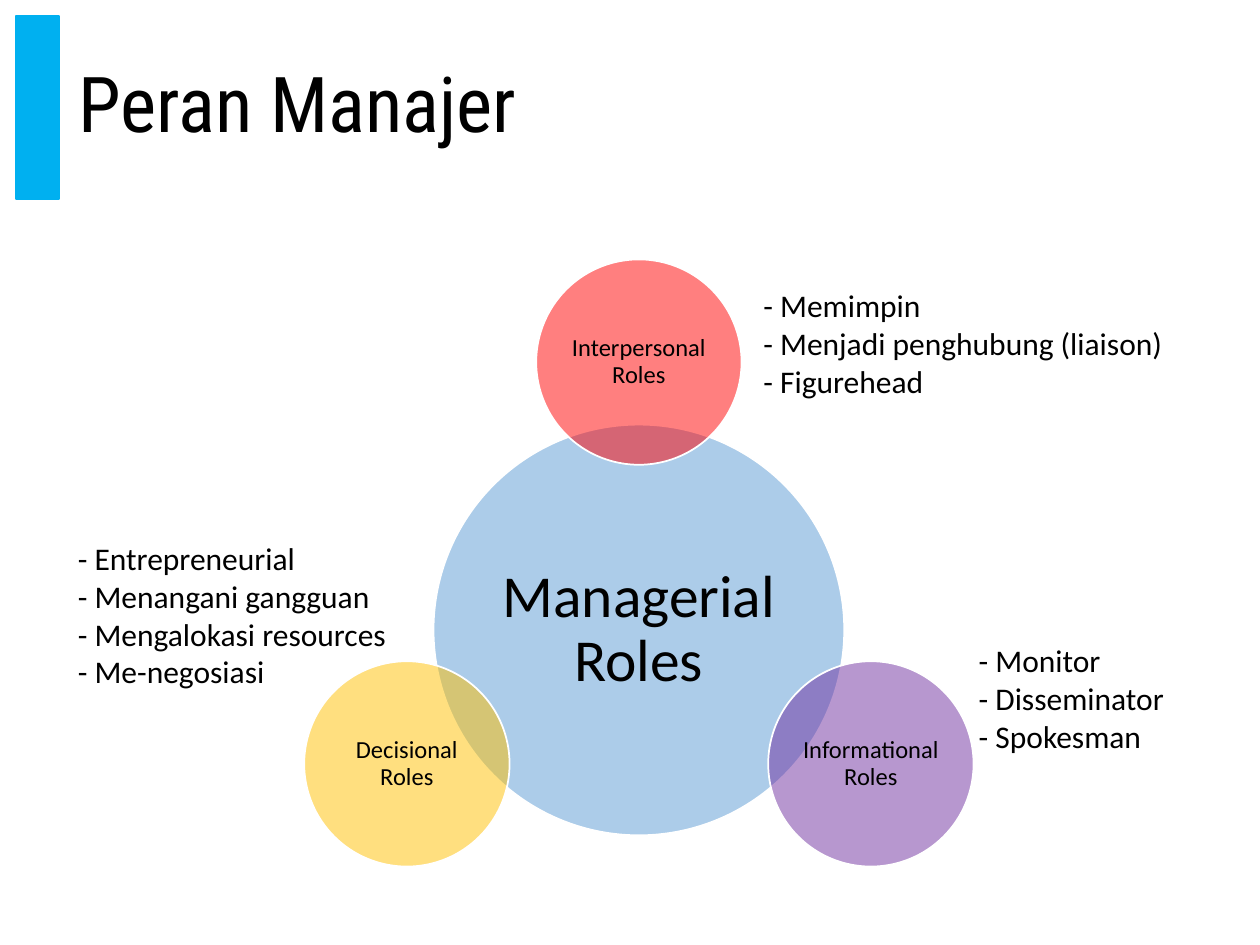
import math
from dataclasses import dataclass

import lxml.etree
import pptx
import pptx.dml.color
import pptx.enum.shapes
import pptx.enum.text
import pptx.oxml.ns
import pptx.util

Cm = pptx.util.Cm
Pt = pptx.util.Pt
RGBColor = pptx.dml.color.RGBColor

BLACK = RGBColor(0x00, 0x00, 0x00)
WHITE = RGBColor(0xFF, 0xFF, 0xFF)
ACCENT = RGBColor(0x00, 0xB0, 0xF0)
BLUE = RGBColor(0x5B, 0x9B, 0xD5)
RED = RGBColor(0xFF, 0x00, 0x00)
PURPLE = RGBColor(0x70, 0x30, 0xA0)
GOLD = RGBColor(0xFF, 0xC0, 0x00)

HUB_X, HUB_Y = 12.88, 12.7
HUB_DIAMETER = 8.28
ROLE_DIAMETER = 4.14
ORBIT = 5.4


@dataclass
class Role:
    label: str
    color: RGBColor
    angle: float
    duties: tuple[str, ...]
    duties_box: tuple[float, float, float, float]


ROLES = (
    Role("Interpersonal Roles", RED, -90,
         ("Memimpin", "Menjadi penghubung (liaison)", "Figurehead"),
         (15.14, 5.64, 8.66, 2.57)),
    Role("Informational Roles", PURPLE, 30,
         ("Monitor", "Disseminator", "Spokesman"),
         (19.48, 12.8, 4.29, 2.57)),
    Role("Decisional Roles", GOLD, 150,
         ("Entrepreneurial", "Menangani gangguan", "Mengalokasi resources", "Me-negosiasi"),
         (1.32, 10.74, 6.78, 3.33)),
)


def add_run(paragraph, text: str, size: float, font: str = "Calibri") -> None:
    run = paragraph.add_run()
    run.text = text
    run.font.size = Pt(size)
    run.font.name = font
    run.font.color.rgb = BLACK


def add_circle(slide, x: float, y: float, diameter: float, color: RGBColor,
               label: str, size: float, inset: float) -> None:
    circle = slide.shapes.add_shape(
        pptx.enum.shapes.MSO_SHAPE.OVAL,
        Cm(x - diameter / 2), Cm(y - diameter / 2), Cm(diameter), Cm(diameter))
    circle.shadow.inherit = False
    circle.fill.solid()
    circle.fill.fore_color.rgb = color
    tint = circle.fill._xPr.find(".//" + pptx.oxml.ns.qn("a:srgbClr"))
    lxml.etree.SubElement(tint, pptx.oxml.ns.qn("a:alpha"), val="50000")
    circle.line.color.rgb = WHITE
    circle.line.width = Pt(1)
    frame = circle.text_frame
    frame.word_wrap = True
    frame.vertical_anchor = pptx.enum.text.MSO_ANCHOR.MIDDLE
    frame.margin_left = frame.margin_right = Cm(inset)
    frame.margin_top = frame.margin_bottom = Cm(inset)
    paragraph = frame.paragraphs[0]
    paragraph.alignment = pptx.enum.text.PP_ALIGN.CENTER
    paragraph.line_spacing = 0.9
    add_run(paragraph, label, size)


def add_duties(slide, role: Role) -> None:
    frame = slide.shapes.add_textbox(*map(Cm, role.duties_box)).text_frame
    frame.word_wrap = False
    frame.auto_size = pptx.enum.text.MSO_AUTO_SIZE.SHAPE_TO_FIT_TEXT
    for index, duty in enumerate(role.duties):
        paragraph = frame.add_paragraph() if index else frame.paragraphs[0]
        add_run(paragraph, f"- {duty}", 18)


def add_heading(slide, text: str) -> None:
    accent_bar = slide.shapes.add_shape(
        pptx.enum.shapes.MSO_SHAPE.RECTANGLE, Cm(0.33), Cm(0.33), Cm(0.86), Cm(3.68))
    accent_bar.shadow.inherit = False
    accent_bar.fill.solid()
    accent_bar.fill.fore_color.rgb = ACCENT
    accent_bar.line.color.rgb = ACCENT
    accent_bar.line.width = Pt(1)

    heading = slide.shapes.title
    heading.left, heading.top = Cm(1.32), Cm(0.33)
    heading.width, heading.height = Cm(23.11), Cm(3.68)
    frame = heading.text_frame
    frame.auto_size = pptx.enum.text.MSO_AUTO_SIZE.NONE
    frame.vertical_anchor = pptx.enum.text.MSO_ANCHOR.MIDDLE
    paragraph = frame.paragraphs[0]
    paragraph.alignment = pptx.enum.text.PP_ALIGN.LEFT
    paragraph.line_spacing = 0.9
    add_run(paragraph, text, 44, "Roboto Condensed")


def main() -> None:
    presentation = pptx.Presentation()
    presentation.slide_width = Cm(25.4)
    presentation.slide_height = Cm(19.05)
    slide = presentation.slides.add_slide(presentation.slide_layouts[5])
    add_heading(slide, "Peran Manajer")
    add_circle(slide, HUB_X, HUB_Y, HUB_DIAMETER, BLUE, "Managerial Roles", 34, 0.12)
    for role in ROLES:
        angle = math.radians(role.angle)
        add_circle(slide, HUB_X + ORBIT * math.cos(angle), HUB_Y + ORBIT * math.sin(angle),
                   ROLE_DIAMETER, role.color, role.label, 14, 0.05)
    for role in ROLES:
        add_duties(slide, role)
    presentation.save("out.pptx")


if __name__ == "__main__":
    main()
